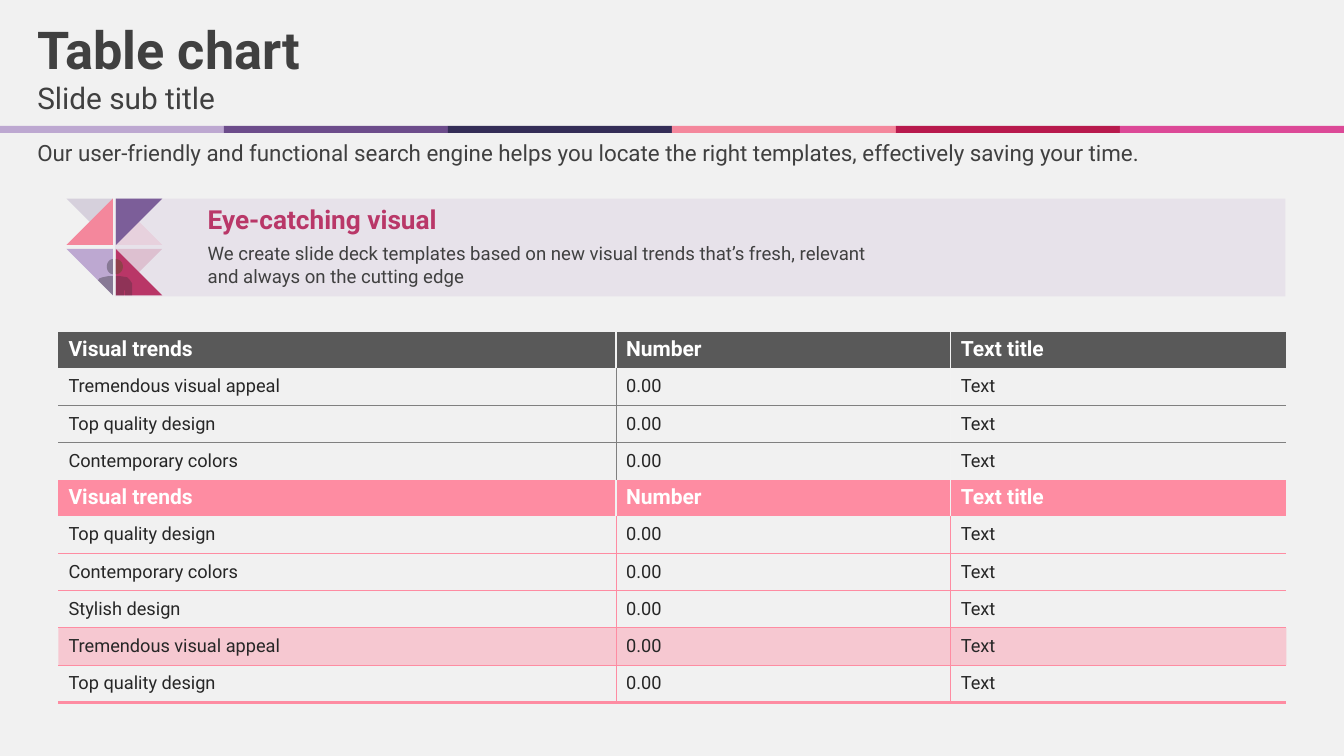
import math
from lxml import etree
from pptx import Presentation
from pptx import util as u
from pptx.dml.color import RGBColor
from pptx.enum import shapes, text
from pptx.oxml.ns import qn


def paint(fill, color, alpha=100):
    fill.solid()
    fill.fore_color.rgb = RGBColor.from_string(color)
    if alpha < 100:
        clr = fill._xPr.find(qn("a:solidFill"))[0]
        etree.SubElement(clr, qn("a:alpha"), val=str(alpha * 1000))


def write(tf, content, size=16, color="404040", bold=False, anchor="TOP", margins=(0, 0), spacing=None):
    tf.word_wrap = True
    tf.auto_size = text.MSO_AUTO_SIZE.NONE
    tf.vertical_anchor = text.MSO_ANCHOR[anchor]
    tf.margin_left = tf.margin_right = u.Inches(margins[0])
    tf.margin_top = tf.margin_bottom = u.Inches(margins[1])
    p = tf.paragraphs[0]
    p.alignment = text.PP_ALIGN.LEFT
    p.line_spacing = spacing
    r = p.add_run()
    r.text = content
    r.font.name = "Roboto"
    r.font.size = u.Pt(size)
    r.font.bold = bold
    paint(r.font.fill, color)


prs = Presentation()
prs.slide_width, prs.slide_height = u.Inches(13.33), u.Inches(7.5)
s = prs.slides.add_slide(prs.slide_layouts[0])
paint(s.background.fill, "F1F1F1")

headings = [
    (s.shapes.title, 0.17, 0.61, "Table chart", 37.3, True),
    (s.placeholders[1], 0.79, 0.42, "Slide sub title", 21.3, False),
]
for sp, top, height, content, size, bold in headings:
    sp.left, sp.top, sp.width, sp.height = map(u.Inches, (0.37, top, 12.18, height))
    write(sp.text_frame, content, size=size, bold=bold)

ribbon = ["BDA8D1", "6C4C8B", "342D57", "F4879C", "B81A4D", "DC4997"]
step = 13.33 / len(ribbon)
rects = [(i * step, 1.25, step, 0.07, color, 100) for i, color in enumerate(ribbon)]
rects.append((1.14, 1.97, 11.61, 0.97, "BFAAD2", 20))

x0, x1, x2, x3 = 0.66, 1.12, 1.15, 1.61
y0, y1, y2, y3 = 1.97, 2.43, 2.47, 2.93
angles = [math.radians(a) for a in range(-90, 91, 15)]
left_head = [(x1 - 0.06 * math.cos(a), 2.645 + 0.075 * math.sin(a)) for a in angles]
right_head = [(x2 + 0.07 * math.cos(a), 2.645 + 0.075 * math.sin(a)) for a in angles]
left_body = [(x1, 2.74), (1.07, 2.74), (1.02, 2.75), (0.99, 2.76), (0.97, 2.78), (x1, y3)]
right_body = [(x2, 2.74), (1.2, 2.74), (1.26, 2.75), (1.29, 2.78), (1.31, 2.81), (1.31, y3),
              (1.24, y3), (1.24, 2.88), (1.23, 2.88), (1.23, y3), (x2, y3)]
pinwheel = [
    ([(x2, y0), (x2, y1), (x3, y1)], "F4879C", 20),
    ([(x1, y0), (x0, y0), (x1, y1)], "6C4C8B", 20),
    ([(x3, y0), (x2, y0), (x2, y1)], "6C4C8B", 100),
    ([(x3, y2), (x2, y2), (1.38, 2.7)], "B81A4D", 20),
    ([(x0, y1), (x1, y1), (x1, y0)], "F4879C", 100),
    ([(x1, y3), (x1, y2), (x0, y2)], "BDA8D1", 100),
    ([(x2, y2), (x2, y3), (x3, y3)], "B81A4D", 100),
    (left_head, "0D0D0D", 30),
    (left_body, "0D0D0D", 30),
    (right_head, "B73336", 100),
    (right_head, "0D0D0D", 30),
    (right_body, "0D0D0D", 30),
]
drawn = []
for points, color, alpha in pinwheel:
    points = [(u.Inches(x), u.Inches(y)) for x, y in points]
    fb = s.shapes.build_freeform(*points[0])
    fb.add_line_segments(points[1:], close=True)
    drawn.append((fb.convert_to_shape(), color, alpha))
for left, top, width, height, color, alpha in rects:
    sp = s.shapes.add_shape(shapes.MSO_SHAPE.RECTANGLE, *map(u.Inches, (left, top, width, height)))
    drawn.append((sp, color, alpha))
for sp, color, alpha in drawn:
    sp.shadow.inherit = False
    sp.line.fill.background()
    paint(sp.fill, color, alpha)

captions = [
    ((0.37, 1.38, 12.29, 0.27),
     "Our user-friendly and functional search engine helps you locate the right templates, "
     "effectively saving your time.", dict(anchor="MIDDLE")),
    ((2.06, 2.05, 4.24, 0.28), "Eye-catching visual",
     dict(size=18.7, color="B93768", bold=True, spacing=0.9)),
    ((2.06, 2.4, 6.72, 0.45),
     "We create slide deck templates based on new visual trends that’s fresh, relevant "
     "and always on the cutting edge", dict(size=13.3, anchor="MIDDLE")),
]
for box, content, fmt in captions:
    write(s.shapes.add_textbox(*map(u.Inches, box)).text_frame, content, **fmt)

header = ("Visual trends", "Number", "Text title")
labels = [None, "Tremendous visual appeal", "Top quality design", "Contemporary colors",
          None, "Top quality design", "Contemporary colors", "Stylish design",
          "Tremendous visual appeal", "Top quality design"]
widths = (5.53, 3.32, 3.33)
white, gray, pink = ("F2F2F2", 1), ("808080", 0.25), ("FE8CA2", 0.75)
below = [None, gray, gray, None, None, pink, pink, pink, pink, ("FE8CA2", 2.25)]
between = [(white, white)] + [(gray, white)] * 3 + [(white, white)] + [(pink, pink)] * 5
fills = {0: ("595959", 100), 4: ("FE8CA2", 100), 8: ("FE8CA2", 40)}

gf = s.shapes.add_table(len(labels), 3, *map(u.Inches, (0.58, 3.29, 12.18, 3.69)))
table = gf.table
table.horz_banding = table.first_row = False
for col, width in zip(table.columns, widths):
    col.width = u.Inches(width)
for i, label in enumerate(labels):
    table.rows[i].height = u.Inches(0.37 if label else 0.36)
    for j, content in enumerate((label, "0.00", "Text") if label else header):
        cell = table.cell(i, j)
        tcPr = cell._tc.get_or_add_tcPr()
        edges = {
            "lnL": between[i][j - 1] if j else None,
            "lnR": between[i][j] if j < 2 else None,
            "lnT": below[i - 1] if i else None,
            "lnB": below[i],
        }
        for tag, edge in edges.items():
            ln = etree.SubElement(tcPr, qn("a:" + tag))
            if edge:
                ln.set("w", str(u.Pt(edge[1])))
                solid = etree.SubElement(ln, qn("a:solidFill"))
                etree.SubElement(solid, qn("a:srgbClr"), val=edge[0])
            else:
                etree.SubElement(ln, qn("a:noFill"))
        if i in fills:
            paint(cell.fill, *fills[i])
        else:
            cell.fill.background()
        write(cell.text_frame, content, size=13 if label else 15,
              color="262626" if label else "FFFFFF", bold=not label)
        cell.vertical_anchor = text.MSO_ANCHOR.MIDDLE
        cell.margin_left = cell.margin_right = u.Inches(0.1)
        cell.margin_top = cell.margin_bottom = u.Inches(0.05)

prs.save("out.pptx")
